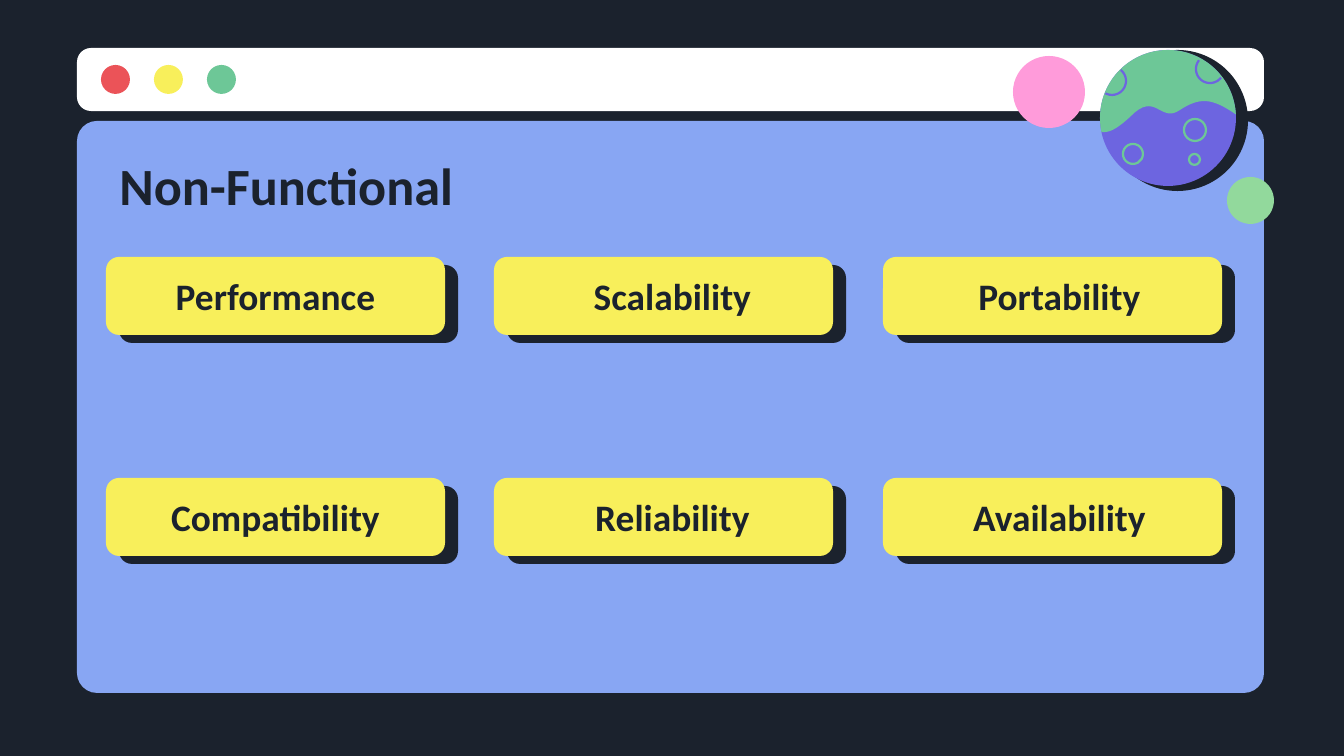
import math

import pptx
import pptx.dml.color
import pptx.enum.shapes
import pptx.enum.text
import pptx.util

PX = 914400 / 134.4
SHAPE = pptx.enum.shapes.MSO_SHAPE
ALIGN = pptx.enum.text.PP_ALIGN
FONT = "Calibri"
COLOURS = {
    "ink": "1B222D", "panel": "88A6F3", "bar": "FFFFFF", "red": "EB5358",
    "yellow": "F8EF5B", "green": "6DC797", "purple": "6D65E0",
    "lime": "92D99C", "pink": "FF9BDA",
}

CARD_W, CARD_H = 339, 78
LABEL_W = 285
COLUMNS = [(106, 133), (494, 530), (883, 917)]  # card left, label left
ROWS = [
    (257, ["Performance", "Scalability", "Portability"]),
    (478, ["Compatibility", "Reliability", "Availability"]),
]


def px(n):
    return pptx.util.Emu(round(n * PX))


def rgb(name):
    return pptx.dml.color.RGBColor.from_string(COLOURS[name])


def paint(sp, fill=None, line=None):
    sp.shadow.inherit = False
    if fill:
        sp.fill.solid()
        sp.fill.fore_color.rgb = rgb(fill)
    else:
        sp.fill.background()
    if line:
        sp.line.color.rgb = rgb(line)
        sp.line.width = pptx.util.Pt(1.2)
    else:
        sp.line.fill.background()


def add_panel(s, x, y, w, h, fill, radius):
    sp = s.shapes.add_shape(SHAPE.ROUNDED_RECTANGLE, px(x), px(y), px(w), px(h))
    sp.adjustments[0] = radius / min(w, h)
    paint(sp, fill)


def add_circle(s, x, y, d, fill=None, line=None):
    sp = s.shapes.add_shape(SHAPE.OVAL, px(x), px(y), px(d), px(d))
    paint(sp, fill, line)


def add_outline(s, points, closed, fill=None, line=None):
    points = [(px(x), px(y)) for x, y in points]
    builder = s.shapes.build_freeform(*points[0], scale=1.0)
    builder.add_line_segments(points[1:], close=closed)
    paint(builder.convert_to_shape(), fill, line)


def arc(cx, cy, r, start, end, steps=40):
    angles = [math.radians(start + (end - start) * i / steps)
              for i in range(steps + 1)]
    return [(cx + r * math.cos(a), cy + r * math.sin(a)) for a in angles]


def bezier(p0, p1, p2, p3, steps=16):
    points = []
    for i in range(1, steps + 1):
        t = i / steps
        weights = ((1 - t) ** 3, 3 * t * (1 - t) ** 2, 3 * t * t * (1 - t), t ** 3)
        points.append(tuple(sum(w * c for w, c in zip(weights, axis))
                            for axis in zip(p0, p1, p2, p3)))
    return points


def write(sp, text, size, align):
    tf = sp.text_frame
    tf.word_wrap = True
    tf.auto_size = pptx.enum.text.MSO_AUTO_SIZE.NONE
    tf.vertical_anchor = pptx.enum.text.MSO_ANCHOR.MIDDLE
    tf.margin_left = tf.margin_right = pptx.util.Inches(0.1)
    tf.margin_top = tf.margin_bottom = pptx.util.Inches(0.1)
    p = tf.paragraphs[0]
    p.alignment = align
    r = p.add_run()
    r.text = text
    r.font.name = FONT
    r.font.size = pptx.util.Pt(size)
    r.font.bold = True
    r.font.color.rgb = rgb("ink")


def add_window(s):
    add_panel(s, 77, 121, 1187, 572, "panel", 20)
    add_panel(s, 77, 48, 1187, 63, "bar", 14)
    for i, colour in enumerate(["red", "yellow", "green"]):
        add_circle(s, 101 + 53 * i, 65, 29, colour)


def add_planet(s):
    add_circle(s, 1107, 50, 141, "ink")
    add_circle(s, 1100, 50, 136, "purple")
    # Land: the upper rim of the globe, closed by a wavy coast
    land = arc(1168, 118, 68, 168, 357)
    for c1, c2, end in [((1212, 98), (1200, 97), (1180, 110)),
                        ((1160, 124), (1156, 90), (1130, 117)),
                        ((1117, 129), (1109, 133), (1102, 132))]:
        land += bezier(land[-1], c1, c2, end)
    add_outline(s, land, True, fill="green")
    # Craters, cut by the rim on land and whole on the sea
    for cx, cy, start, end in [(1112, 81, -51, 118), (1210, 69, 38, 219)]:
        add_outline(s, arc(cx, cy, 14, start, end), False, line="purple")
    for x, y, d in [(1123, 144, 20), (1184, 119, 22), (1189, 154, 11)]:
        add_circle(s, x, y, d, line="green")


def add_card(s, x, y, label_x, text):
    add_panel(s, x + 13, y + 8, CARD_W, CARD_H, "ink", 13)
    add_panel(s, x, y, CARD_W, CARD_H, "yellow", 13)
    label = s.shapes.add_textbox(px(label_x), px(y), px(LABEL_W), px(CARD_H))
    write(label, text, 20, ALIGN.CENTER)


def set_title(s, text):
    title = s.shapes.title
    title.left, title.top, title.width, title.height = map(px, (106, 143, 1133, 83))
    write(title, text, 28, ALIGN.LEFT)
    # Bring the title in front of the window
    title.element.getparent().append(title.element)


def main():
    prs = pptx.Presentation()
    prs.slide_width, prs.slide_height = px(1344), px(756)
    s = prs.slides.add_slide(prs.slide_layouts[5])
    s.background.fill.solid()
    s.background.fill.fore_color.rgb = rgb("ink")

    # Window and decoration
    add_window(s)
    add_planet(s)
    add_circle(s, 1227, 177, 47, "lime")
    add_circle(s, 1013, 56, 72, "pink")

    # Title and requirement cards
    set_title(s, "Non-Functional")
    for y, names in ROWS:
        for (x, label_x), name in zip(COLUMNS, names):
            add_card(s, x, y, label_x, name)
    prs.save("out.pptx")


if __name__ == "__main__":
    main()
